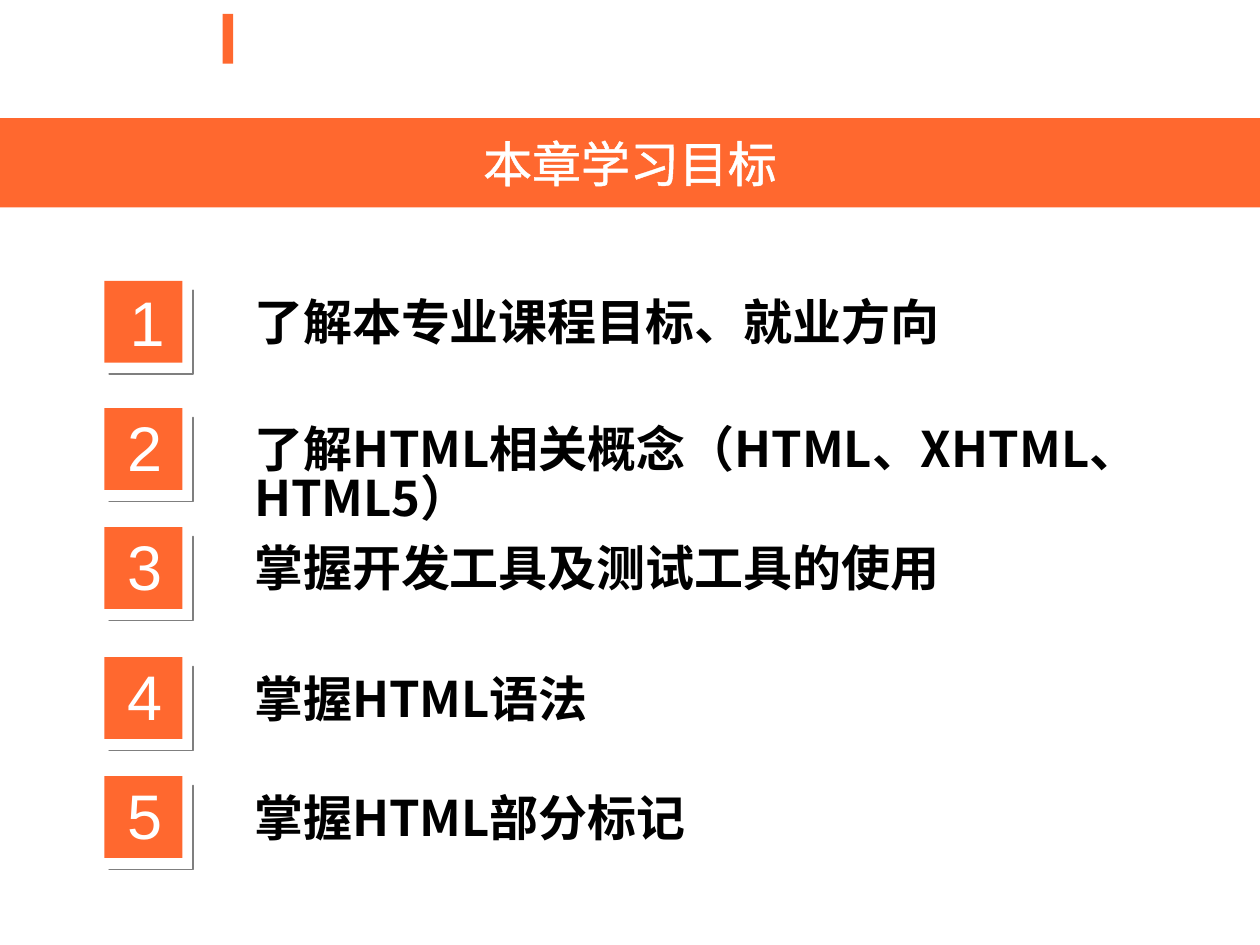
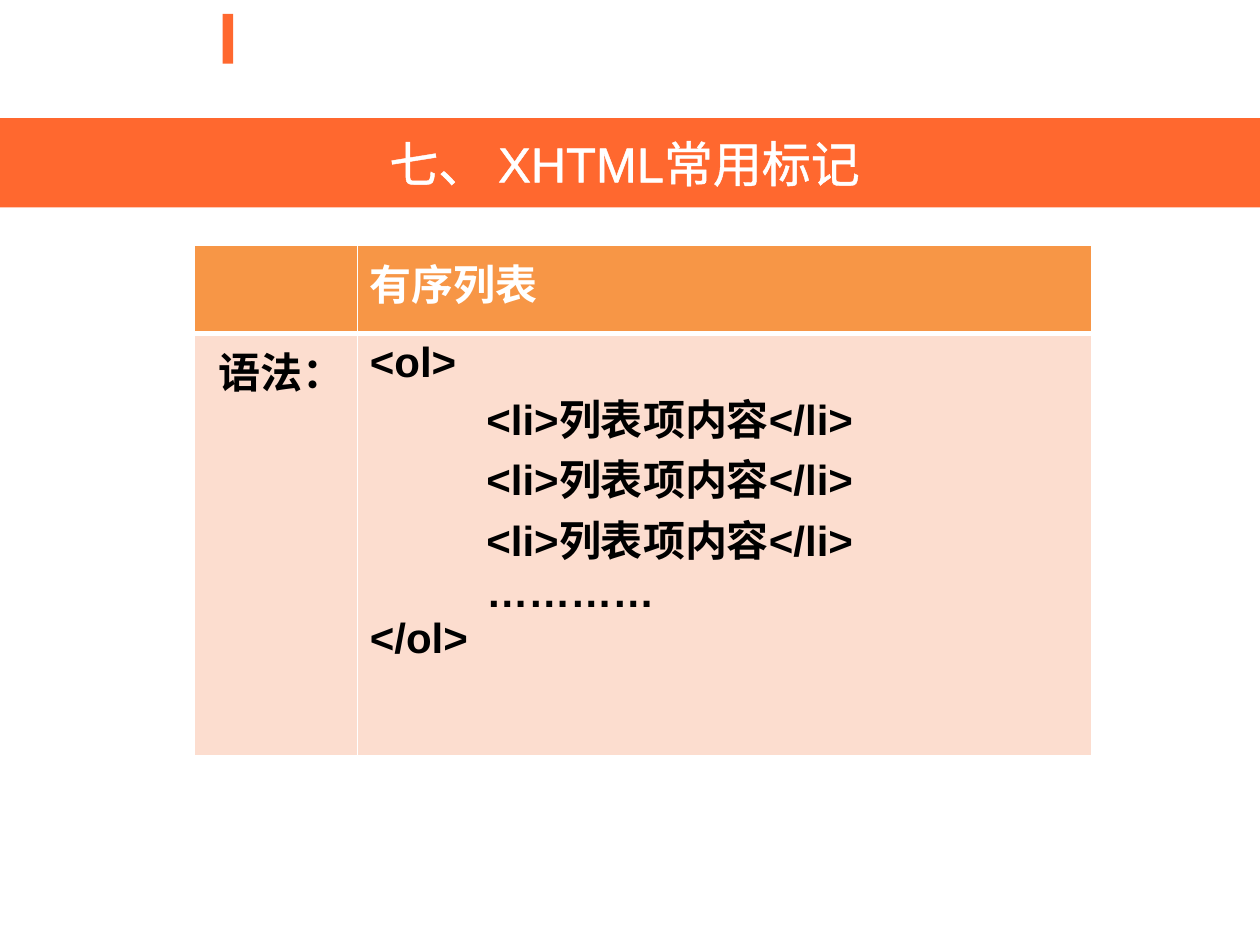
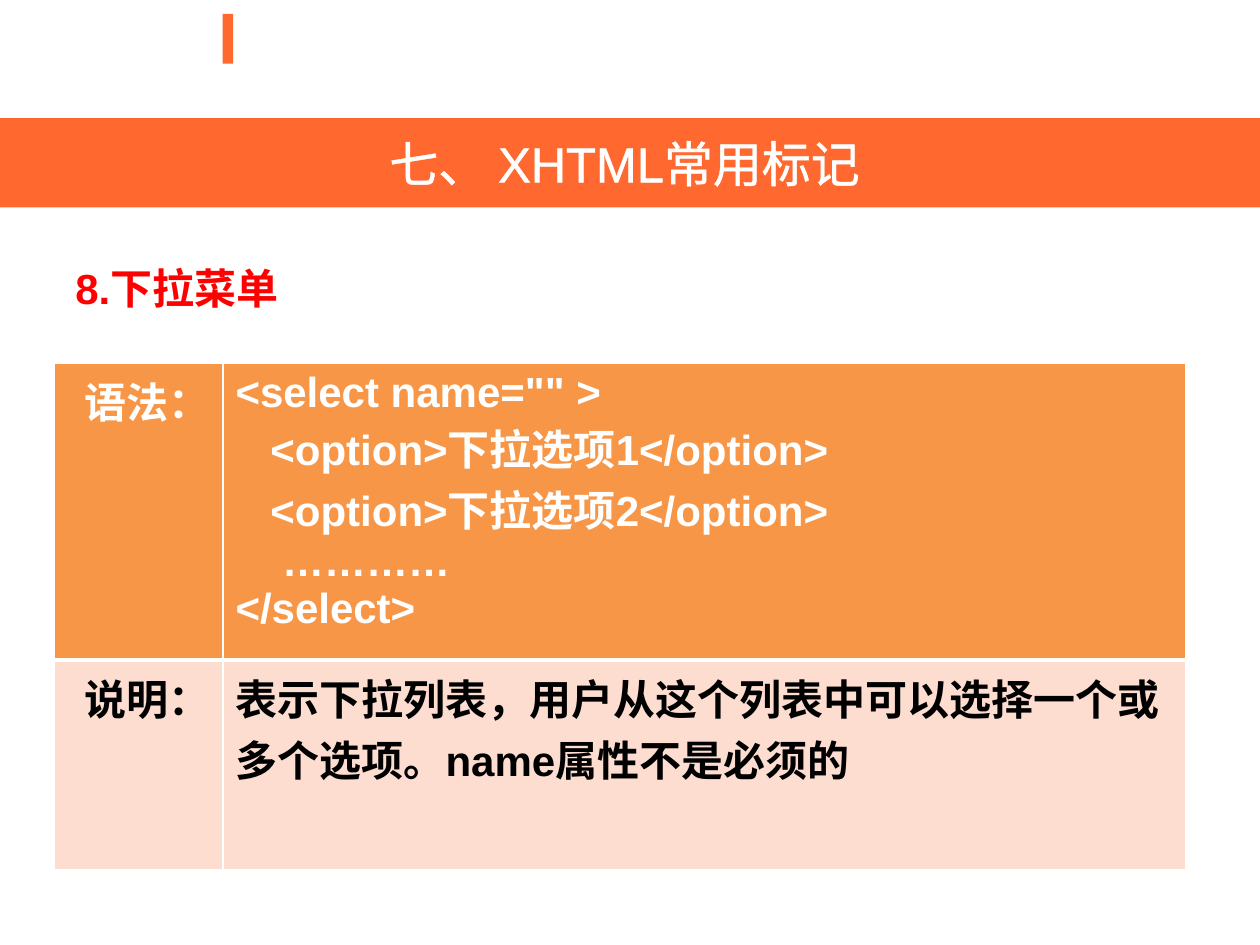
"""Builds three course slides on HTML: goals, ordered list and drop-down menu."""
from lxml import etree
from pptx import Presentation
from pptx.dml.color import RGBColor
from pptx.enum.shapes import MSO_SHAPE
from pptx.enum.text import MSO_ANCHOR, PP_ALIGN
from pptx.oxml.ns import qn
from pptx.util import Pt

RECT = MSO_SHAPE.RECTANGLE
MIDDLE = MSO_ANCHOR.MIDDLE
LEFT, CENTER, RIGHT = PP_ALIGN.LEFT, PP_ALIGN.CENTER, PP_ALIGN.RIGHT

COLORS = {
    "accent": "FF682F",
    "header": "F79646",
    "body": "FCDDCF",
    "white": "FFFFFF",
    "black": "000000",
    "red": "FF0000",
    "corner": "AFABAB",
    "gray": "7F7F7F",
}
LATIN, CJK = "Arial", "Noto Sans CJK SC"


def rgb(name):
    return RGBColor.from_string(COLORS[name])


def add_line(parent, tag, color, width):
    ln = etree.SubElement(parent, qn(tag), w=str(Pt(width)))
    fill = etree.SubElement(ln, qn("a:solidFill"))
    etree.SubElement(fill, qn("a:srgbClr"), val=COLORS[color])
    return ln


class Deck:
    def __init__(self):
        self.prs = Presentation()
        self.prs.slide_width, self.prs.slide_height = Pt(720), Pt(540)
        self.s = None

    def slide(self, title):
        self.s = self.prs.slides.add_slide(self.prs.slide_layouts[6])
        self.rect(127.3, 8, 6, 28.4)
        tf = self.rect(0, 67.5, 720, 51).text_frame
        tf.vertical_anchor = MIDDLE
        self.fill_text(tf, [title], 28, "white", align=CENTER)
        rPr = tf.paragraphs[0].runs[0].font._element
        rPr.insert(0, add_line(rPr, "a:ln", "white", 1.45))

    def fill_text(self, tf, lines, size, color, bold=False, font=LATIN, align=LEFT, spacing=None):
        tf.text = "\n".join(lines)
        for p in tf.paragraphs:
            p.alignment = align
            p.line_spacing = spacing
            for r in p.runs:
                r.font.size, r.font.bold, r.font.name = Pt(size), bold, font
                r.font.color.rgb = rgb(color)
                etree.SubElement(r.font._element, qn("a:ea"), typeface=CJK)

    def rect(self, x, y, w, h):
        sp = self.s.shapes.add_shape(RECT, Pt(x), Pt(y), Pt(w), Pt(h))
        sp.shadow.inherit = False
        sp.fill.solid()
        sp.fill.fore_color.rgb = rgb("accent")
        sp.line.fill.background()
        return sp

    def text(self, x, y, w, h, text, size, color, top=3.6, **style):
        tf = self.s.shapes.add_textbox(Pt(x), Pt(y), Pt(w), Pt(h)).text_frame
        tf.word_wrap = True
        tf.margin_top = Pt(top)
        self.fill_text(tf, [text], size, color, **style)

    def corner(self, x, y, w, h):
        left, right, top, bottom = Pt(x), Pt(x + w), Pt(y), Pt(y + h)
        builder = self.s.shapes.build_freeform(left, bottom)
        builder.add_line_segments([(right, bottom), (right, top), (right, bottom)], close=True)
        sp = builder.convert_to_shape()
        sp.shadow.inherit = False
        sp.fill.solid()
        sp.fill.fore_color.rgb = rgb("corner")
        sp.line.color.rgb = rgb("gray")
        sp.line.width = Pt(1)

    def goal(self, number, y, text):
        self.rect(59.6, y, 44.6, 46.8)
        dx, dy = (67, -2.2) if number == 1 else (65.5, -3.3)
        self.text(dx, y + dy, 36.7, 51, str(number), 36, "white")
        self.corner(62.4, y + 5.4, 48, 48)
        self.text(138.2, y + 5.2, 553, 41, text, 28, "black", top=7,
                  bold=True, font=CJK, spacing=0.82)

    def table(self, x, y, widths, heights, rows):
        frame = self.s.shapes.add_table(len(heights), len(widths), Pt(x), Pt(y),
                                        Pt(sum(widths)), Pt(sum(heights)))
        table = frame.table
        for column, width in zip(table.columns, widths):
            column.width = Pt(width)
        for i, (height, row) in enumerate(zip(heights, rows)):
            table.rows[i].height = Pt(height)
            for j, lines in enumerate(row):
                self.cell(table.cell(i, j), lines, i == 0, j == 0)

    def cell(self, cell, lines, header, label):
        self.fill_text(cell.text_frame, lines, 24, "white" if header else "black",
                       bold=True, align=RIGHT if label else LEFT)
        tcPr = cell._tc.get_or_add_tcPr()
        top, bottom = (1, 3) if header else (3, 1)
        for side, width in zip("LRTB", (1, 1, top, bottom)):
            add_line(tcPr, f"a:ln{side}", "white", width)
        cell.fill.solid()
        cell.fill.fore_color.rgb = rgb("header" if header else "body")


def main():
    deck = Deck()
    tags_title = "七、 XHTML常用标记 "

    deck.slide("本章学习目标")
    goals = [
        (160.5, "了解本专业课程目标、就业方向"),
        (233.2, "了解HTML相关概念（HTML、XHTML、HTML5）"),
        (301.2, "掌握开发工具及测试工具的使用"),
        (375.5, "掌握HTML语法"),
        (443.5, "掌握HTML部分标记"),
    ]
    for number, (y, text) in enumerate(goals, 1):
        deck.goal(number, y, text)

    deck.slide(tags_title)
    item = "          <li>列表项内容</li>"
    ordered_list = ["<ol>", *[item] * 3, "          …………", "</ol>"]
    deck.table(110.8, 140, [93.4, 419.6], [50.4, 241.6],
               [[[], ["有序列表"]], [["语法："], ordered_list]])

    deck.slide(tags_title)
    deck.text(36, 149.8, 648, 356, "8.下拉菜单", 24, "red", bold=True, spacing=0.9)
    options = [f"   <option>下拉选项{n}</option>" for n in (1, 2)]
    select = ['<select name="" >', *options, "    …………", "</select>"]
    note = "表示下拉列表，用户从这个列表中可以选择一个或多个选项。name属性不是必须的"
    deck.table(31.2, 207.6, [96.2, 550], [169.6, 119.6],
               [[["语法："], select], [["说明："], [note]]])

    deck.prs.save("out.pptx")


if __name__ == "__main__":
    main()
